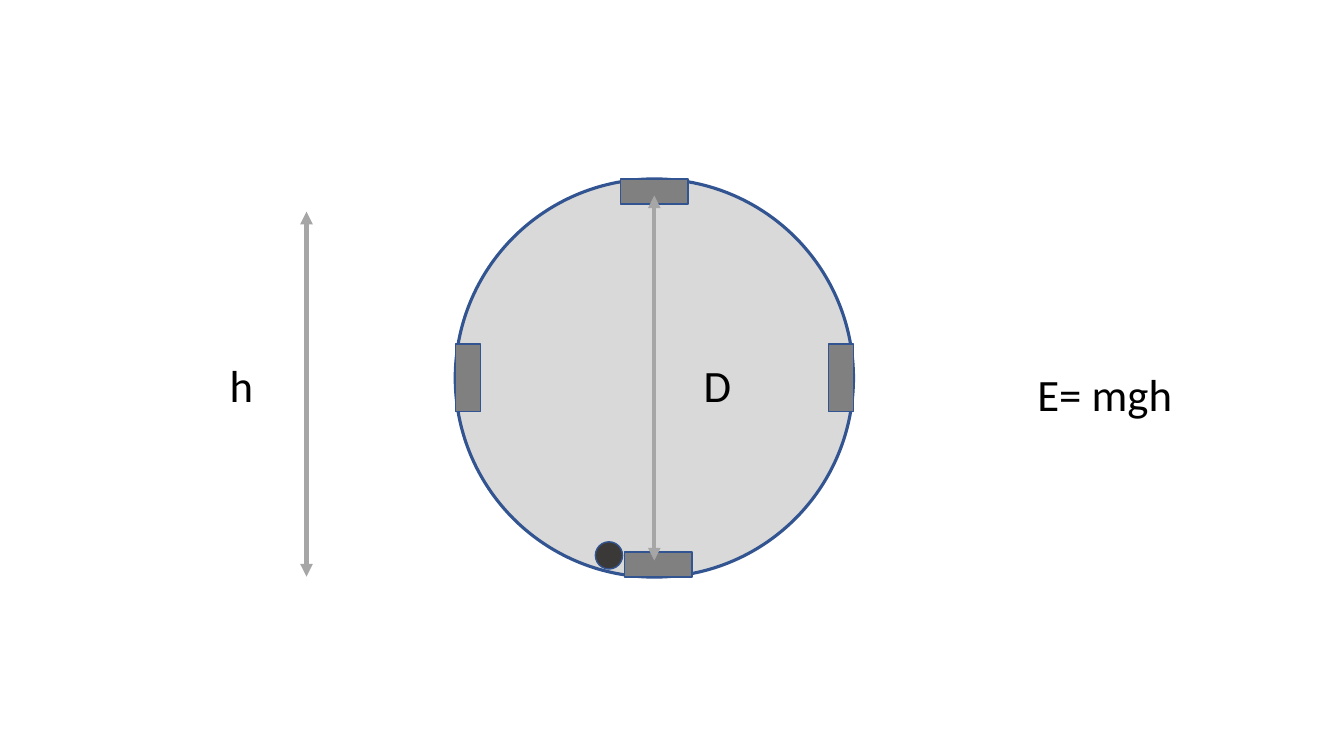
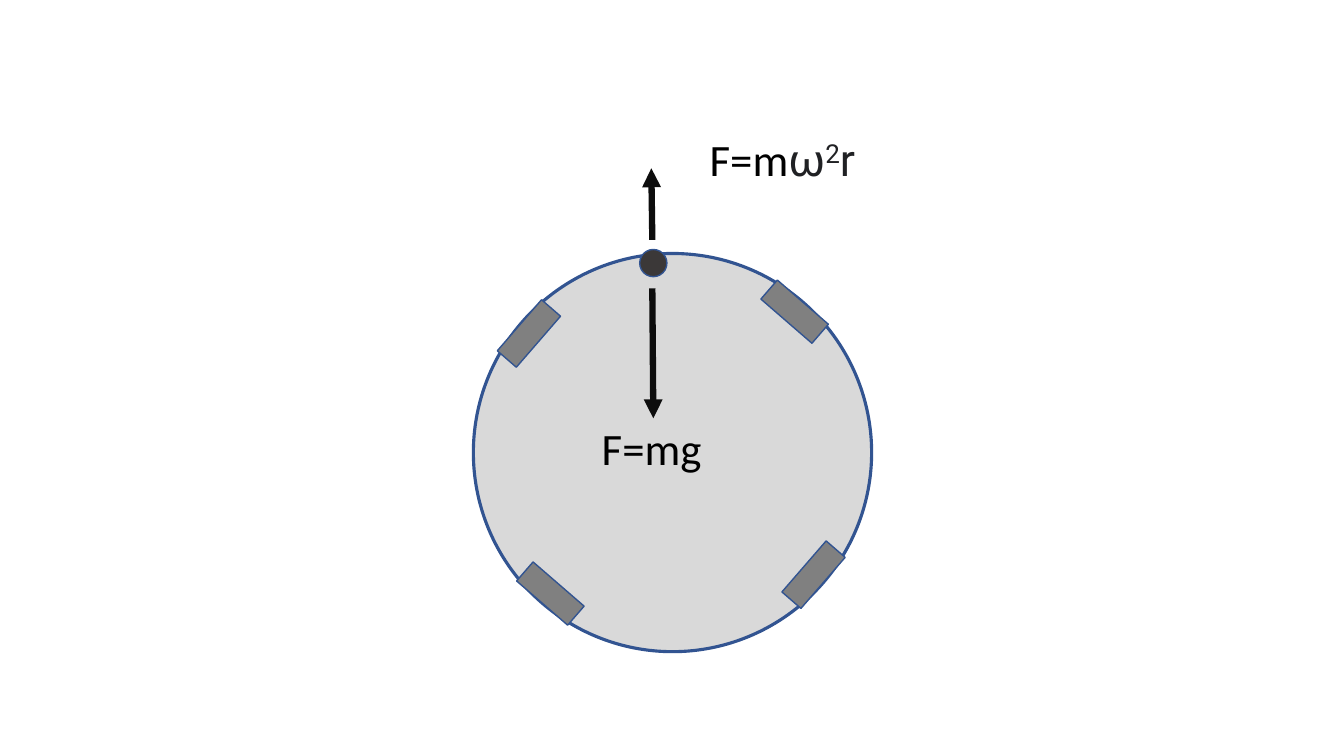
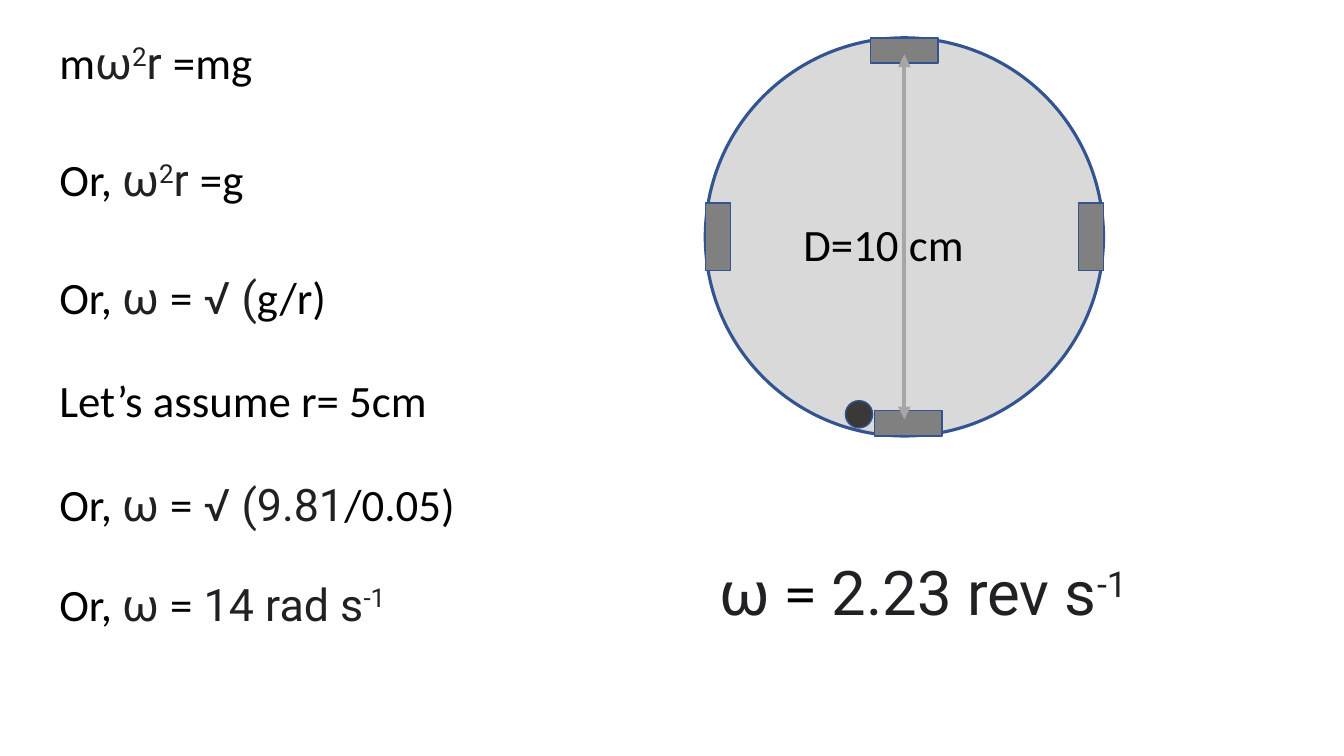
from dataclasses import dataclass
from math import cos, radians, sin

from lxml import etree
from pptx import Presentation
from pptx.dml.color import RGBColor
from pptx.enum.shapes import MSO_CONNECTOR as CONN, MSO_SHAPE as SHAPE
from pptx.enum.text import MSO_AUTO_SIZE as AUTO
from pptx.oxml.ns import qn
from pptx.util import Inches, Pt


@dataclass(frozen=True)
class Theme:
    drum: str = "D9D9D9"
    magnet: str = "808080"
    ball: str = "3B3838"
    outline: str = "325491"
    measure: str = "A6A6A6"
    force: str = "0D0D0D"
    text: str = "000000"
    symbol: str = "202124"
    text_font: str = "Calibri"
    symbol_font: str = "Roboto"
    body: int = 32
    result: int = 44
    drum_line: float = 2.25
    thin_line: float = 1
    measure_line: float = 3
    force_line: float = 4.5


T = Theme()
TEXT, SYM, SUP = "text", "symbol", "superscript"
OMEGA_SQ_R = [("ω", SYM), ("2", SUP)]
OMEGA_EQ = [("ω ", SYM), ("=", TEXT)]

# Drum geometry: offsets are taken from the drum's centre
DRUM_D, BALL_D = 3.95, 0.27
MAGNET = (0.67, 0.25)
MAGNETS = [(0.04, 1.85, 0), (0, -1.85, 0), (1.85, 0, 90), (-1.85, 0, 90)]
BALL_LOW, BALL_TOP = (-0.45, 1.76), (-0.19, -1.88)
DIAMETER_HALF = 1.81

# Content: drum is (centre x, centre y, turn, ball offset, diameter arrow shown)
# arrow is (from, to, kind); text is (left, top, width, size, runs)
SLIDES = [
    dict(
        drum=(6.49, 3.75, 0, BALL_LOW, True),
        arrows=[((3.04, 2.1), (3.04, 5.72), "measure")],
        texts=[
            (2.18, 3.5, 1.2, T.body, [("h", TEXT)]),
            (6.88, 3.5, 1.2, T.body, [("D", TEXT)]),
            (10.19, 3.59, 1.65, T.body, [("E= mgh", TEXT)]),
        ],
    ),
    dict(
        drum=(6.67, 4.49, 130.9, BALL_TOP, False),
        arrows=[
            ((6.47, 2.86), (6.48, 4.15), "force"),
            ((6.47, 2.38), (6.46, 1.67), "force"),
        ],
        texts=[
            (5.87, 4.12, 1.2, T.body, [("F=mg", TEXT)]),
            (6.94, 1.26, 1.77, T.body,
             [("F=m", TEXT), *OMEGA_SQ_R, ("r", SYM)]),
        ],
    ),
    dict(
        drum=(8.97, 2.35, 0, BALL_LOW, True),
        arrows=[],
        texts=[
            (0.49, 0.3, 3.35, T.body,
             [("m", TEXT), *OMEGA_SQ_R, ("r ", SYM), ("=mg", TEXT)]),
            (0.49, 1.46, 3.35, T.body,
             [("Or, ", TEXT), *OMEGA_SQ_R, ("r ", SYM), ("=g", TEXT)]),
            (0.49, 2.63, 3.17, T.body,
             [("Or, ", TEXT), *OMEGA_EQ, (" √ (", SYM), ("g/r)", TEXT)]),
            (0.49, 3.65, 4.93, T.body, [("Let’s assume r= 5cm", TEXT)]),
            (0.49, 4.68, 4.93, T.body,
             [("Or, ", TEXT), *OMEGA_EQ, (" √ (9.81", SYM), ("/0.05)", TEXT)]),
            (0.49, 5.67, 4.93, T.body,
             [("Or, ", TEXT), *OMEGA_EQ, (" 14 rad s", SYM), ("-1", SUP)]),
            (7.04, 5.45, 4.93, T.result,
             [*OMEGA_EQ, (" 2.23 rev s", SYM), ("-1", SUP)]),
            (7.87, 2.1, 1.9, T.body, [("D=10 cm", TEXT)]),
        ],
    ),
]


def rgb(color):
    return RGBColor.from_string(color)


def add_part(shapes, kind, center, size, fill, line_width, turn=0):
    (cx, cy), (w, h) = center, size
    sp = shapes.add_shape(kind, Inches(cx - w / 2), Inches(cy - h / 2),
                          Inches(w), Inches(h))
    sp.shadow.inherit = False
    sp.fill.solid()
    sp.fill.fore_color.rgb = rgb(fill)
    sp.line.color.rgb = rgb(T.outline)
    sp.line.width = Pt(line_width)
    sp.rotation = turn


def add_arrow(slide, start, end, kind):
    color, width, ends = {
        "measure": (T.measure, T.measure_line, ("a:headEnd", "a:tailEnd")),
        "force": (T.force, T.force_line, ("a:tailEnd",)),
    }[kind]
    arrow = slide.shapes.add_connector(
        CONN.STRAIGHT, *(Inches(v) for v in (*start, *end)))
    arrow.line.color.rgb = rgb(color)
    arrow.line.width = Pt(width)
    ln = arrow.line._get_or_add_ln()
    for tag in ends:
        etree.SubElement(ln, qn(tag), type="triangle")
    etree.SubElement(arrow._element.spPr, qn("a:effectLst"))


def add_drum(slide, cx, cy, turn, ball, show_diameter):
    shapes = slide.shapes.add_group_shape().shapes
    add_part(shapes, SHAPE.OVAL, (cx, cy), (DRUM_D, DRUM_D), T.drum, T.drum_line)
    c, s = cos(radians(turn)), sin(radians(turn))
    for dx, dy, tilt in MAGNETS:
        center = (cx + dx * c - dy * s, cy + dx * s + dy * c)
        add_part(shapes, SHAPE.RECTANGLE, center, MAGNET, T.magnet,
                 T.thin_line, turn + tilt)
    add_part(shapes, SHAPE.OVAL, (cx + ball[0], cy + ball[1]),
             (BALL_D, BALL_D), T.ball, T.thin_line)
    if show_diameter:
        add_arrow(slide, (cx, cy - DIAMETER_HALF), (cx, cy + DIAMETER_HALF),
                  "measure")


def add_text(slide, left, top, width, size, runs):
    height = size / 50
    box = slide.shapes.add_textbox(Inches(left), Inches(top),
                                   Inches(width), Inches(height))
    tf = box.text_frame
    tf.word_wrap = True
    tf.auto_size = AUTO.SHAPE_TO_FIT_TEXT
    p = tf.paragraphs[0]
    for text, style in runs:
        r = p.add_run()
        r.text = text
        r.font.size = Pt(size)
        r.font.name = T.text_font if style == TEXT else T.symbol_font
        r.font.color.rgb = rgb(T.text if style == TEXT else T.symbol)
        if style == SUP:
            r.font._element.set("baseline", "30000")


def main():
    prs = Presentation()
    prs.slide_width, prs.slide_height = Inches(13.33), Inches(7.5)
    blank = prs.slide_layouts[6]
    for content in SLIDES:
        slide = prs.slides.add_slide(blank)
        add_drum(slide, *content["drum"])
        for arrow in content["arrows"]:
            add_arrow(slide, *arrow)
        for text in content["texts"]:
            add_text(slide, *text)
    prs.save("out.pptx")


if __name__ == "__main__":
    main()
